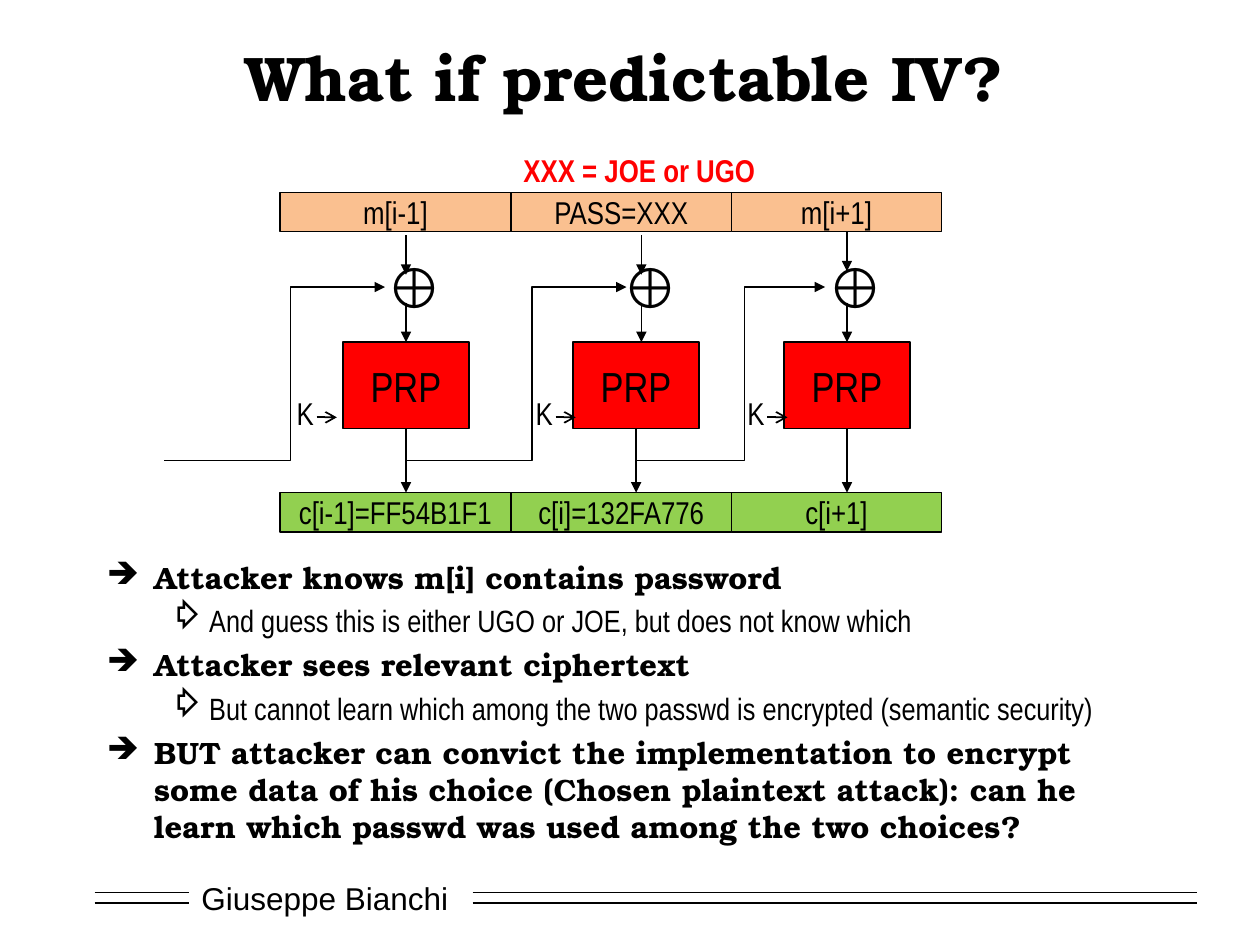
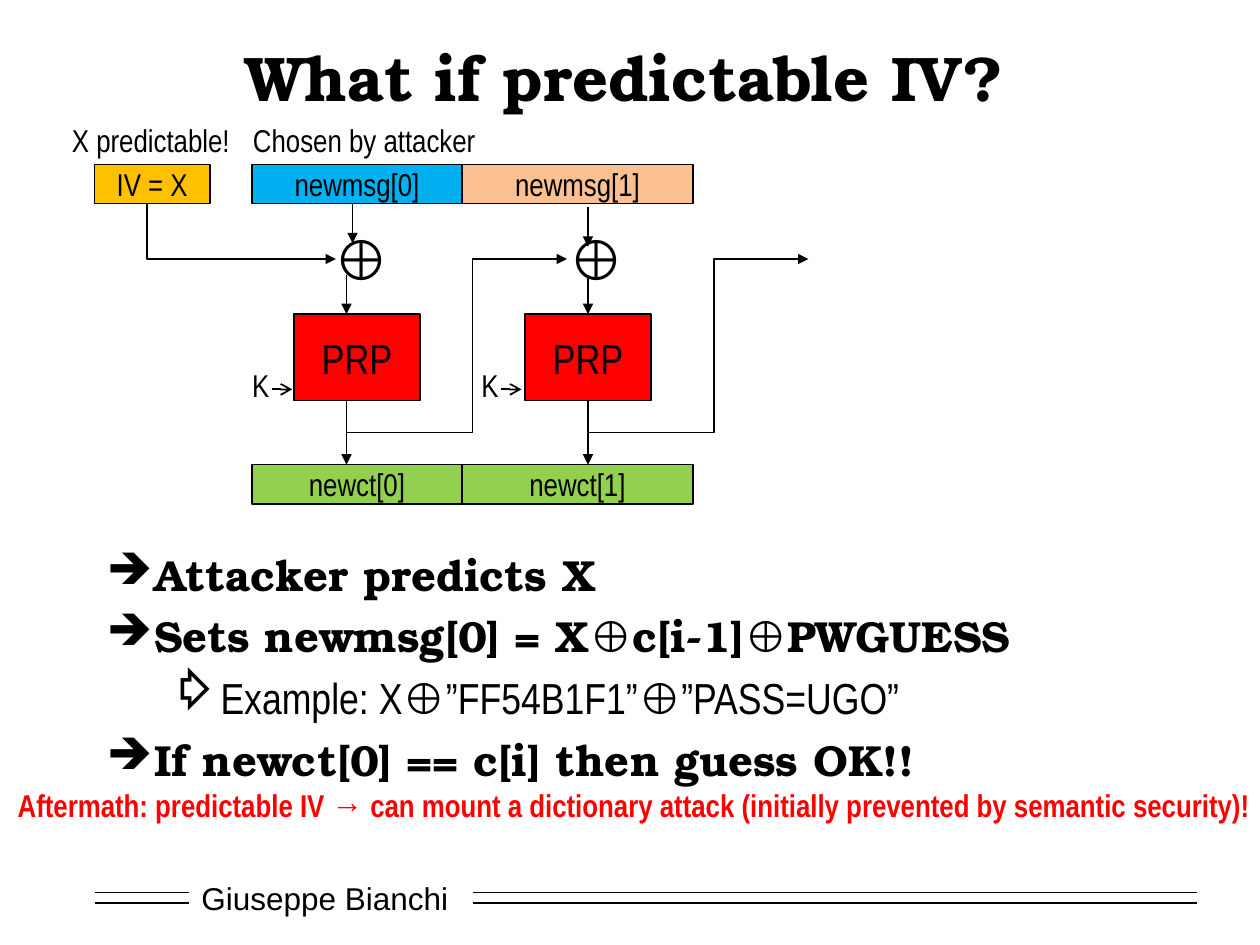
"""Build two slides on attacking chained encryption with a predictable IV."""
from dataclasses import dataclass

from lxml import etree
from pptx import Presentation
from pptx.dml.color import RGBColor
from pptx.enum.shapes import MSO_CONNECTOR, MSO_SHAPE
from pptx.enum.text import MSO_ANCHOR, PP_ALIGN
from pptx.oxml.ns import qn
from pptx.util import Pt

RECTANGLE = MSO_SHAPE.RECTANGLE
STRAIGHT = MSO_CONNECTOR.STRAIGHT
MIDDLE, TOP = MSO_ANCHOR.MIDDLE, MSO_ANCHOR.TOP
CENTER, LEFT = PP_ALIGN.CENTER, PP_ALIGN.LEFT

COLORS = {
    "ink": "000000", "paper": "FFFFFF", "alert": "FF0000", "message": "FAC090",
    "cipher": "92D050", "chosen": "00B0F0", "vector": "FFC000",
}
SERIF, NARROW, SANS = "TeX Gyre Bonum", "Arial Narrow", "Arial"
CELL_HEIGHT = 22.5
XOR_AXIS, PRP_TOP, PRP_HEIGHT = 54, 85.5, 49.5
KEY_LINE, FEEDBACK_LINE, CIPHER_TOP = 128.5, 153, 171.5


@dataclass(frozen=True)
class Box:
    left: float
    top: float
    width: float
    height: float

    def lengths(self) -> tuple:
        return Pt(self.left), Pt(self.top), Pt(self.width), Pt(self.height)


@dataclass(frozen=True)
class Stage:
    cell_left: float
    cell_width: float
    message: str
    cipher: str
    prp_left: float
    key_left: float
    entry_x: float
    middle_x: float
    exit_x: float
    entry_gap: float = 24.5
    message_color: str = "message"


@dataclass(frozen=True)
class Feedback:
    start: float
    bend: float
    end: float


@dataclass(frozen=True)
class Point:
    words: str
    level: int = 0


@dataclass(frozen=True)
class Label:
    words: str
    box: Box
    color: str = "ink"
    bold: bool = False


@dataclass(frozen=True)
class Lesson:
    chain_top: float
    stages: list[Stage]
    feedbacks: list[Feedback]
    points_box: Box
    points_size: float
    points: list[Point]
    labels: list[Label]


BULLETS = (("➔", 27, -27, SERIF), ("⇨", 58.5, -22.5, NARROW))

LESSONS = [
    Lesson(
        110,
        [
            Stage(160, 132, "m[i-1]", "c[i-1]=FF54B1F1", 196, 162.5, 232, 232, 232),
            Stage(292, 126, "PASS=XXX", "c[i]=132FA776", 327.5, 299, 366.5, 366.5, 363.5),
            Stage(418, 120, "m[i+1]", "c[i+1]", 448, 420, 484, 484, 484, 22.5),
        ],
        [Feedback(94, 166, 220), Feedback(232, 304, 358), Feedback(363.5, 425.5, 471.5)],
        Box(54, 315.5, 606, 165),
        17.6,
        [
            Point("Attacker knows m[i] contains password"),
            Point("And guess this is either UGO or JOE, but does not know which", 1),
            Point("Attacker sees relevant ciphertext"),
            Point("But cannot learn which among the two passwd is encrypted "
                  "(semantic security)", 1),
            Point("BUT attacker can convict the implementation to encrypt some data "
                  "of his choice (Chosen plaintext attack): can he learn which "
                  "passwd was used among the two choices?"),
        ],
        [Label("XXX = JOE or UGO", Box(292, 83, 148.5, 29), "alert", True)],
    ),
    Lesson(
        94,
        [
            Stage(144, 120, "newmsg[0]", "newct[0]", 168, 137, 201.5, 198, 198,
                  22.5, "chosen"),
            Stage(264, 132, "newmsg[1]", "newct[1]", 300, 268, 336, 336, 336),
        ],
        [Feedback(198, 270, 324), Feedback(336, 408, 462)],
        Box(54, 309.5, 606, 124.5),
        24.8,
        [
            Point("Attacker predicts X"),
            Point("Sets newmsg[0] = X⊕c[i-1]⊕PWGUESS"),
            Point("Example: X⊕”FF54B1F1”⊕”PASS=UGO”", 1),
            Point("If newct[0] == c[i] then guess OK!!"),
        ],
        [
            Label("X predictable!", Box(34, 65.5, 106, 29)),
            Label("Chosen by attacker", Box(137.5, 65.5, 143.5, 29)),
            Label("Aftermath: predictable IV → can mount a dictionary attack "
                  "(initially prevented by semantic security)!",
                  Box(3, 445.5, 721.5, 29), "alert", True),
        ],
    ),
]


def rgb(color: str) -> RGBColor:
    return RGBColor.from_string(COLORS[color])


def write(frame, words: str, *, size: float = 18, font: str = NARROW,
          color: str = "ink", bold: bool = False, align=LEFT, anchor=TOP,
          wrap: bool = False, level: int | None = None) -> None:
    frame.word_wrap = wrap
    frame.vertical_anchor = anchor
    paragraph = frame.add_paragraph() if frame.text else frame.paragraphs[0]
    paragraph.alignment = align
    run = paragraph.add_run()
    run.text = words
    run.font.size, run.font.name, run.font.bold = Pt(size), font, bold
    run.font.color.rgb = rgb(color)
    if level is not None:
        mark, margin, indent, _ = BULLETS[level]
        paragraph.level = level
        paragraph.space_before = Pt(round(size * 0.22, 1))
        properties = paragraph._p.get_or_add_pPr()
        properties.set("marL", str(Pt(margin)))
        properties.set("indent", str(Pt(indent)))
        tint = etree.SubElement(properties, qn("a:buClr"))
        etree.SubElement(tint, qn("a:srgbClr"), val=COLORS["ink"])
        etree.SubElement(properties, qn("a:buChar"), char=mark)


def add_words(slide, words: str, box: Box, **style) -> None:
    write(slide.shapes.add_textbox(*box.lengths()).text_frame, words, **style)


def add_block(slide, words: str, box: Box, fill: str, size: float = 18) -> None:
    block = slide.shapes.add_shape(RECTANGLE, *box.lengths())
    block.shadow.inherit = False
    block.fill.solid()
    block.fill.fore_color.rgb = rgb(fill)
    block.line.color.rgb = rgb("ink")
    block.line.width = Pt(0.75)
    write(block.text_frame, words, size=size, align=CENTER, anchor=MIDDLE)


def style_line(line, width: float, head: str | None) -> None:
    line.color.rgb = rgb("ink")
    line.width = Pt(width)
    if head:
        etree.SubElement(line._get_or_add_ln(), qn("a:tailEnd"), type=head)


def add_line(slide, x1: float, y1: float, x2: float, y2: float,
             width: float = 0.75, head: str | None = "triangle") -> None:
    connector = slide.shapes.add_connector(STRAIGHT, Pt(x1), Pt(y1), Pt(x2), Pt(y2))
    style_line(connector.line, width, head)
    etree.SubElement(connector._element.spPr, qn("a:effectLst"))


def add_bent_arrow(slide, corners: list[tuple[float, float]], width: float = 0.75) -> None:
    start, *others = [(Pt(x), Pt(y)) for x, y in corners]
    builder = slide.shapes.build_freeform(*start, scale=1.0)
    builder.add_line_segments(others, close=False)
    route = builder.convert_to_shape()
    route.shadow.inherit = False
    route.fill.background()
    style_line(route.line, width, "triangle")


def add_frame(slide) -> None:
    add_words(slide, "Giuseppe Bianchi", Box(108, 498.5, 156, 29),
              font=SANS, anchor=MIDDLE, wrap=True)
    for y in (510, 516):
        for left, right in ((54, 108), (270, 684)):
            add_line(slide, left, y, right, y, 1, None)
    add_words(slide, "What if predictable IV?", Box(54, 18, 606, 51), size=36,
              font=SERIF, bold=True, align=CENTER, anchor=MIDDLE, wrap=True)


def add_stage(slide, stage: Stage, top: float) -> None:
    prp_top, cipher_top = top + PRP_TOP, top + CIPHER_TOP
    key_y, entry_y = top + KEY_LINE, top + stage.entry_gap
    for words, cell_top, fill in ((stage.message, top, stage.message_color),
                                  (stage.cipher, cipher_top, "cipher")):
        add_block(slide, words,
                  Box(stage.cell_left, cell_top, stage.cell_width, CELL_HEIGHT), fill)
    add_block(slide, "PRP", Box(stage.prp_left, prp_top, 72, PRP_HEIGHT), "alert", 24)
    add_words(slide, "⊕", Box(stage.entry_x - 18, top + 31, 39.5, 46), size=32)
    add_line(slide, stage.entry_x, entry_y, stage.entry_x, entry_y + 22.5)
    add_line(slide, stage.middle_x, top + 63, stage.middle_x, prp_top)
    add_line(slide, stage.exit_x, prp_top + PRP_HEIGHT, stage.exit_x, cipher_top)
    add_words(slide, "K", Box(stage.key_left, key_y - 17, 24.5, 29))
    add_line(slide, stage.key_left + 18.5, key_y, stage.key_left + 30, key_y, 1, "arrow")


def add_vector(slide, top: float) -> None:
    add_block(slide, "IV = X", Box(54, top, 66, CELL_HEIGHT), "vector")
    axis = top + XOR_AXIS
    add_bent_arrow(slide, [(84, top + CELL_HEIGHT), (84, axis), (192, axis)], 1)


def add_lesson(slide, lesson: Lesson) -> None:
    add_frame(slide)
    for stage in lesson.stages:
        add_stage(slide, stage, lesson.chain_top)
    low, high = lesson.chain_top + FEEDBACK_LINE, lesson.chain_top + XOR_AXIS
    for feedback in lesson.feedbacks:
        add_bent_arrow(slide, [(feedback.start, low), (feedback.bend, low),
                               (feedback.bend, high), (feedback.end, high)])
    argument = slide.shapes.add_textbox(*lesson.points_box.lengths()).text_frame
    for point in lesson.points:
        write(argument, point.words, size=lesson.points_size, wrap=True,
              font=BULLETS[point.level][3], bold=point.level == 0, level=point.level)
    for label in lesson.labels:
        add_words(slide, label.words, label.box, color=label.color, bold=label.bold)


def main() -> None:
    deck = Presentation()
    deck.slide_width, deck.slide_height = Pt(720), Pt(540)
    blank = deck.slide_layouts[6]
    slides = [deck.slides.add_slide(blank) for _ in LESSONS]
    for slide, lesson in zip(slides, LESSONS):
        add_lesson(slide, lesson)
    add_vector(slides[1], LESSONS[1].chain_top)
    deck.save("out.pptx")


if __name__ == "__main__":
    main()
